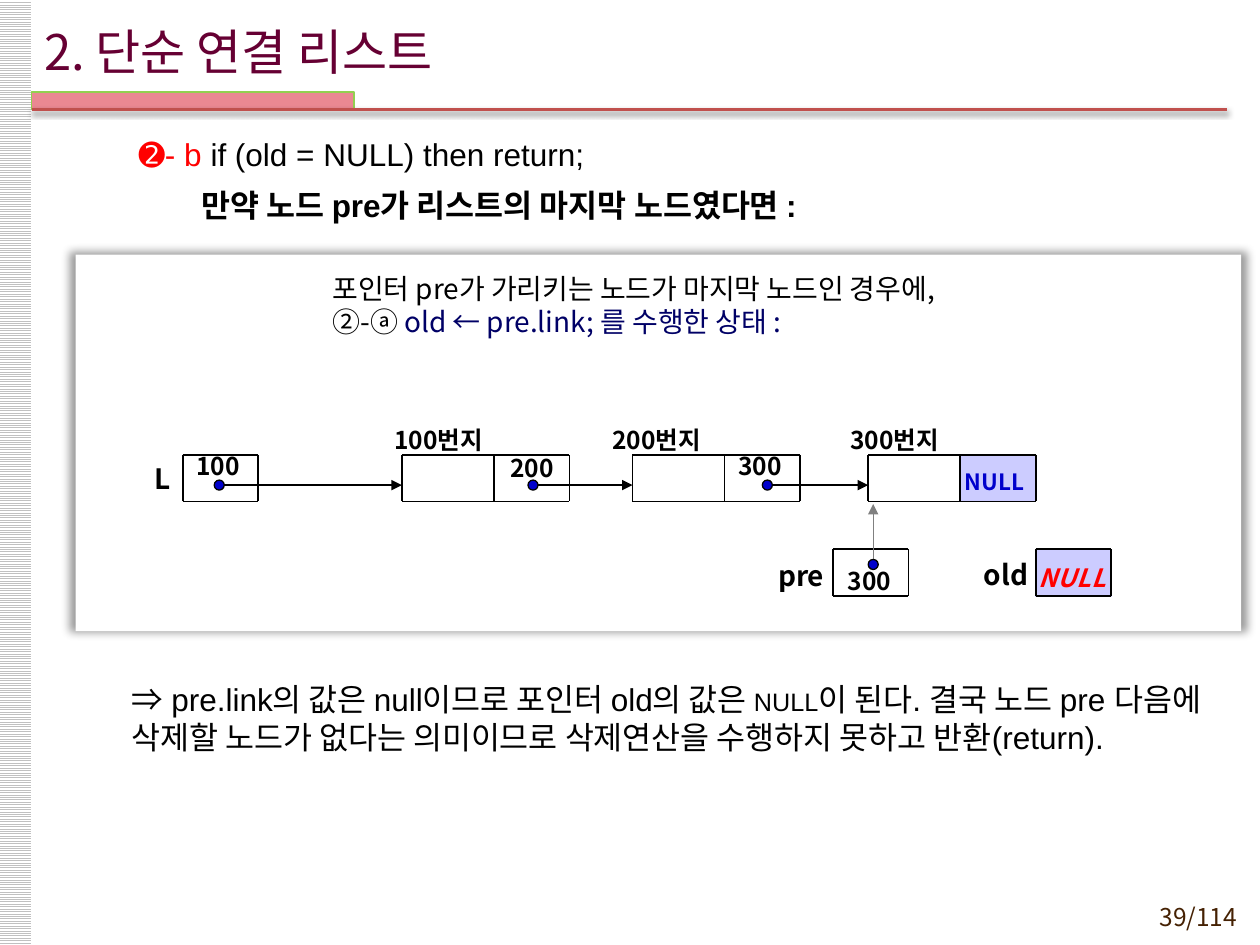
from dataclasses import dataclass
from typing import NamedTuple

from lxml.etree import SubElement
from pptx import Presentation
from pptx.dml.color import RGBColor
from pptx.enum.dml import MSO_PATTERN as Pattern
from pptx.enum.shapes import MSO_CONNECTOR as Connector, MSO_SHAPE as Shape
from pptx.enum.text import MSO_ANCHOR as Anchor, PP_ALIGN as Align
from pptx.oxml.ns import qn
from pptx.util import Inches, Pt

COLORS = {
    "black": "000000", "white": "FFFFFF", "stripe": "C0C0C0", "page": "452103",
    "title": "660033", "bar": "EA8892", "edge": "92D050", "rule": "C0504D",
    "red": "FF0000", "navy": "000066", "blue": "0000CC", "null": "CCCCFF",
    "gray": "808080",
}
NOTO, ARIAL = "Noto Sans CJK KR", "Arial"
COLUMNS, ROWS = 100, 75

deck = Presentation()
deck.slide_width, deck.slide_height = Inches(10), Inches(7.5)
page = deck.slides.add_slide(deck.slide_layouts[6])
COL, ROW = deck.slide_width / COLUMNS, deck.slide_height / ROWS


class Area(NamedTuple):
    left: float
    top: float
    width: float
    height: float


class Span(NamedTuple):
    text: str
    color: str = "black"
    bold: bool = False
    italic: bool = False
    small: bool = False
    font: str = NOTO


class Shadow(NamedTuple):
    alpha: int
    blur: float
    distance: float = 0
    scale: int = 100


@dataclass
class Node:
    left: float
    top: float
    cells: tuple
    null_cell: int = -1


@dataclass
class Label:
    area: Area
    span: Span
    size: float = 14
    align: Align = Align.LEFT


def rgb(name: str) -> RGBColor:
    return RGBColor.from_string(COLORS[name])


def place(area: Area) -> list:
    left, top, width, height = area
    return [round(v) for v in (left * COL, top * ROW, width * COL, height * ROW)]


def set_effects(item, shadow: Shadow = None) -> None:
    props = item._element.spPr
    for old in props.findall(qn("a:effectLst")):
        props.remove(old)
    effects = SubElement(props, qn("a:effectLst"))
    if shadow:
        scale = str(shadow.scale * 1000)
        outer = SubElement(effects, qn("a:outerShdw"), blurRad=str(Pt(shadow.blur)),
                           dist=str(Pt(shadow.distance)), dir="5400000", sx=scale,
                           sy=scale, algn="ctr", rotWithShape="0")
        tint = SubElement(outer, qn("a:srgbClr"), val=COLORS["black"])
        SubElement(tint, qn("a:alpha"), val=str(shadow.alpha * 1000))


def draw_shape(area: Area, fill: str, line: str = None, kind=Shape.RECTANGLE):
    shape = page.shapes.add_shape(kind, *place(area))
    shape.shadow.inherit = False
    shape.fill.solid()
    shape.fill.fore_color.rgb = rgb(fill)
    if line:
        shape.line.color.rgb = rgb(line)
        shape.line.width = Pt(0.75)
    else:
        shape.line.fill.background()
    return shape


def draw_line(start: tuple, end: tuple, color: str = "black", width: float = 1,
              arrow: bool = False, shadow: Shadow = None) -> None:
    ends = place(Area(*start, *end))
    line = page.shapes.add_connector(Connector.STRAIGHT, *ends)
    line.line.color.rgb = rgb(color)
    line.line.width = Pt(width)
    if arrow:
        SubElement(line.line._get_or_add_ln(), qn("a:tailEnd"), type="triangle")
    set_effects(line, shadow)


def draw_node(node: Node) -> None:
    edges = [node.left + sum(node.cells[:i]) for i in range(len(node.cells) + 1)]
    bottom = node.top + 3.7
    if node.null_cell >= 0:
        draw_shape(Area(edges[node.null_cell], node.top, node.cells[node.null_cell], 3.7),
                   "null", "null")
    for y in (node.top, bottom):
        draw_line((edges[0], y), (edges[-1], y))
    for x in edges:
        draw_line((x, node.top), (x, bottom))


def draw_pointer(x: float, y: float, end: tuple, color: str = "black") -> None:
    draw_line((x, y), end, color, 0.75, arrow=True)
    draw_shape(Area(x - 0.4, y - 0.4, 0.8, 0.8), "blue", "black", Shape.OVAL)


def draw_text(area: Area, lines: list, size: float, align=Align.LEFT, anchor=Anchor.TOP,
              pitch: float = None, gap: float = 0):
    box = page.shapes.add_textbox(*place(area))
    frame = box.text_frame
    frame.word_wrap = True
    frame.vertical_anchor = anchor
    frame.margin_left = frame.margin_right = frame.margin_top = frame.margin_bottom = 0
    for index, spans in enumerate(lines):
        para = frame.paragraphs[0] if index == 0 else frame.add_paragraph()
        para.alignment = align
        para.space_before = Pt(gap if index else 0)
        if pitch:
            para.line_spacing = Pt(pitch)
        for span in spans:
            run = para.add_run()
            run.text = span.text
            run.font.size = Pt(size)
            run.font.name = span.font
            run.font.bold, run.font.italic = span.bold, span.italic
            run.font.color.rgb = rgb(span.color)
            props = run.font._element
            SubElement(props, qn("a:ea"), typeface=NOTO)
            if span.small:
                props.set("cap", "small")
    return frame


stripes = draw_shape(Area(-0.1, 0, 2.6, ROWS), "white")
stripes.fill.patterned()
stripes.fill.pattern = Pattern.LIGHT_HORIZONTAL
stripes.fill.fore_color.rgb, stripes.fill.back_color.rgb = rgb("stripe"), rgb("white")
draw_shape(Area(2.5, 7.3, 25.6, 1.4), "bar", "edge")
draw_line((2.5, 8.7), (97.4, 8.7), "rule", 2, shadow=Shadow(38, 3.1, 1.6))
draw_text(Area(3.5, 0.9, 80.7, 6.3), [[Span("2. 단순 연결 리스트", "title")]], 28,
          anchor=Anchor.MIDDLE)
draw_text(Area(88.6, 71.3, 9.6, 2.9), [[Span("39/114", "page")]], 14, Align.RIGHT,
          Anchor.MIDDLE)

condition = draw_text(Area(11, 10.7, 84, 7), [
    [Span("➋- b ", "red", font=ARIAL), Span("if (old = NULL) then return;", font=ARIAL)],
    [Span("만약 노드 pre가 리스트의 마지막 노드였다면 :", bold=True, font=ARIAL)],
], 18, pitch=21.5, gap=8)
condition.paragraphs[1]._p.get_or_add_pPr().set("marL", str(Inches(0.5)))

draw_text(Area(10.4, 54, 86.1, 9.5), [[
    Span("⇒"),
    Span(" pre.link의 값은 null이므로 포인터 old의 값은 ", font=ARIAL),
    Span("null", small=True, font=ARIAL),
    Span("이 된다. 결국 노드 pre 다음에 삭제할 노드가 없다는 의미이므로 "
         "삭제연산을 수행하지 못하고 반환(return).", font=ARIAL),
]], 18, pitch=21.5)

set_effects(draw_shape(Area(6, 20.2, 92.5, 29.9), "white"), Shadow(40, 5, scale=101))
draw_text(Area(26.4, 21.6, 60, 5.4), [
    [Span("포인터 pre가 가리키는 노드가 마지막 노드인 경우에,")],
    [Span("②-ⓐ "), Span("old ← pre.link; 를 수행한 상태 :", "navy")],
], 16, pitch=19)

LIST_TOP, VARIABLE_TOP = 36.1, 43.6
PAIR, SINGLE = (7.3, 6), (6,)
LIST_LEFTS = (31.9, 50.2, 68.9)
for left in LIST_LEFTS:
    draw_node(Node(left, LIST_TOP, PAIR, 1 if left == LIST_LEFTS[-1] else -1))
draw_node(Node(14.5, LIST_TOP, SINGLE))
draw_node(Node(66.1, VARIABLE_TOP, SINGLE))
draw_node(Node(82.2, VARIABLE_TOP, SINGLE, 0))

for x, target in zip((17.4, 42.3, 60.9), LIST_LEFTS):
    draw_pointer(x, 38.5, (target, 38.5))
draw_pointer(69.3, 44.8, (69.3, 40), "gray")

labels = [Label(Area(left, 34, 9, 1.8), Span(f"{number}00번지", bold=True))
          for number, left in enumerate((31.3, 48.6, 67.5), 1)]
labels += [Label(Area(left, top, 4.6, 1.8), Span(value, bold=True))
           for left, top, value in ((15.6, 36.1, "100"), (40.5, 36.2, "200"),
                                    (58.6, 36.1, "300"), (67.3, 45.2, "300"))]
labels += [Label(Area(right - 5.2, top, 5.2, 3.3), Span(name, bold=True), 16, Align.RIGHT)
           for right, top, name in ((13.5, 36.3, "L"), (65.4, 44, "pre"), (81.6, 43.9, "old"))]
labels += [
    Label(Area(75.7, 36.4, 6.5, 3.3), Span("null", "blue", True, small=True), 16, Align.CENTER),
    Label(Area(82, 43.8, 6.2, 3.6), Span("null", "red", True, True, True), 18, Align.CENTER),
]
for label in labels:
    draw_text(label.area, [[label.span]], label.size, label.align, Anchor.MIDDLE)

deck.save("out.pptx")
